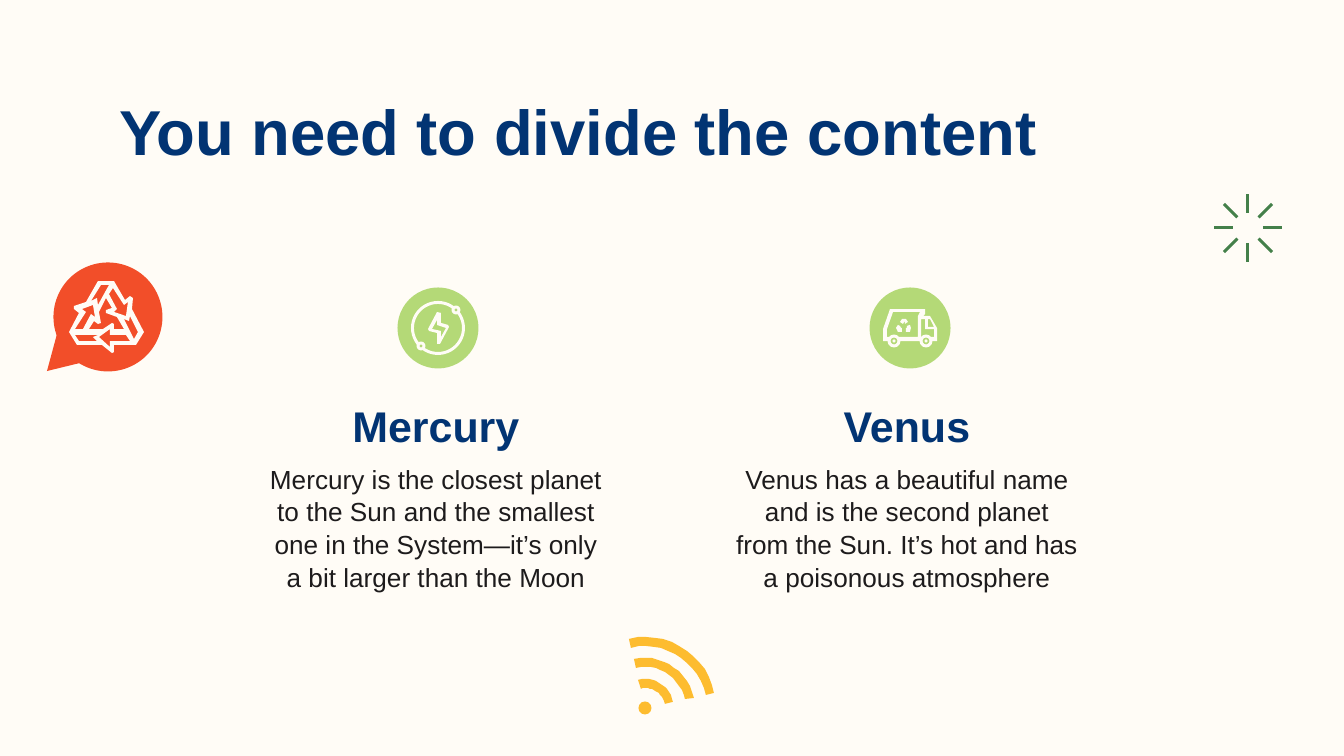
import math

import pptx
import pptx.dml.color
import pptx.enum.shapes
import pptx.enum.text
import pptx.oxml.ns
import pptx.util

RGB = pptx.dml.color.RGBColor
CREAM = RGB(0xFF, 0xFC, 0xF6)
NAVY = RGB(0x02, 0x34, 0x73)
INK = RGB(0x1D, 0x1B, 0x1C)
LIME = RGB(0xB4, 0xD9, 0x77)
AMBER = RGB(0xFD, 0xBC, 0x2F)
GREEN = RGB(0x44, 0x80, 0x4A)
ORANGE = RGB(0xF2, 0x4E, 0x29)

SCALE = 914400 / 134.4  # EMU per px
TOP = pptx.enum.text.MSO_ANCHOR.TOP
BOTTOM = pptx.enum.text.MSO_ANCHOR.BOTTOM
LEFT = pptx.enum.text.PP_ALIGN.LEFT
CENTER = pptx.enum.text.PP_ALIGN.CENTER


def emu(px):
    return pptx.util.Emu(round(px * SCALE))


class Painter:
    """Draws on one slide in px with a shared style."""

    font = "Arial"
    inset = 13

    def __init__(self, slide):
        self.slide = slide
        self.shapes = slide.shapes

    def placeholder(self, idx, box, text, size, color, bold=False,
                    align=CENTER, anchor=TOP, spacing=1.0):
        holder = self.slide.placeholders[idx]
        holder.left, holder.top, holder.width, holder.height = map(emu, box)
        frame = holder.text_frame
        frame.word_wrap = True
        frame.auto_size = pptx.enum.text.MSO_AUTO_SIZE.NONE
        frame.vertical_anchor = anchor
        frame.margin_left = frame.margin_right = emu(self.inset)
        frame.margin_top = frame.margin_bottom = emu(self.inset)
        paragraph = frame.paragraphs[0]
        paragraph.alignment = align
        paragraph.line_spacing = spacing
        paragraph.space_before = pptx.util.Pt(0)
        properties = paragraph._p.get_or_add_pPr()
        properties.set("marL", "0")
        properties.set("indent", "0")
        properties.append(pptx.oxml.parse_xml(
            "<a:buNone %s/>" % pptx.oxml.ns.nsdecls("a")))
        run = paragraph.add_run()
        run.text = text
        run.font.name = self.font
        run.font.size = pptx.util.Pt(size)
        run.font.bold = bold
        run.font.color.rgb = color

    def paint(self, shape, fill, line=None, weight=1.6):
        shape.shadow.inherit = False
        if fill is None:
            shape.fill.background()
        else:
            shape.fill.solid()
            shape.fill.fore_color.rgb = fill
        if line is None:
            shape.line.fill.background()
        else:
            shape.line.color.rgb = line
            shape.line.width = pptx.util.Pt(weight)

    def circle(self, x, y, diameter, fill, line=None):
        """Circle centred on x, y."""
        shape = self.shapes.add_shape(
            pptx.enum.shapes.MSO_SHAPE.OVAL, emu(x - diameter / 2),
            emu(y - diameter / 2), emu(diameter), emu(diameter))
        self.paint(shape, fill, line)

    def outline(self, fill, *contours):
        """Filled outline; contours after the first cut holes."""
        builder = self.shapes.build_freeform(*contours[0][0], scale=SCALE)
        builder.add_line_segments(contours[0][1:], close=True)
        for hole in contours[1:]:
            builder.move_to(*hole[0])
            builder.add_line_segments(hole[1:], close=True)
        self.paint(builder.convert_to_shape(), fill)

    def line(self, start, end, color, weight):
        connector = self.shapes.add_connector(
            pptx.enum.shapes.MSO_CONNECTOR.STRAIGHT,
            *map(emu, (*start, *end)))
        connector.line.color.rgb = color
        connector.line.width = pptx.util.Pt(weight)
        connector._element.spPr.append(pptx.oxml.parse_xml(
            "<a:effectLst %s/>" % pptx.oxml.ns.nsdecls("a")))


def polar(center, radius, degrees):
    """Point at an angle measured clockwise from straight up."""
    angle = math.radians(degrees)
    return (center[0] + radius * math.sin(angle),
            center[1] - radius * math.cos(angle))


def draw_energy(painter):
    painter.circle(438, 328, 81, LIME)
    painter.circle(438, 328, 51, None, CREAM)
    for knob in ((456, 310), (421, 346)):
        painter.circle(*knob, 6, LIME, CREAM)
    painter.outline(
        CREAM,
        [(437, 312), (428, 329), (429, 331), (437, 333), (437, 344),
         (440, 344), (449, 327), (448, 325), (441, 323), (441, 313)],
        [(437, 320), (437, 325), (446, 328), (441, 337), (441, 331),
         (432, 329)])


def draw_truck(painter):
    painter.circle(910, 328, 81, LIME)
    # Body with cargo, cab and window openings
    painter.outline(
        CREAM,
        [(890, 309), (883, 329), (883, 341), (937, 341), (937, 328),
         (930, 316), (923, 316), (925, 314), (925, 309)],
        [(893, 312), (920, 312), (918, 316), (918, 337), (887, 337),
         (887, 329)],
        [(921, 319), (925, 319), (925, 329), (934, 329), (934, 337),
         (921, 337)],
        [(928, 319), (930, 319), (934, 327), (928, 327)])
    for wheel_x in (894, 926):
        painter.circle(wheel_x, 341, 10, LIME, CREAM)
        painter.circle(wheel_x, 341, 3, CREAM)
    # Recycling arrows on the cargo
    for arrow in (
            [(902, 319), (900, 322), (903, 324), (905, 321), (905, 324),
             (908, 322), (906, 319)],
            [(910, 325), (907, 326), (907, 328), (906, 328), (906, 332),
             (910, 332), (911, 328)],
            [(898, 325), (896, 328), (898, 332), (902, 332), (902, 328),
             (901, 328), (900, 326)]):
        painter.outline(CREAM, arrow)


def draw_signal(painter):
    source = (645, 708)
    angles = range(-13, 79, 7)
    for inner, outer in ((62, 71), (41, 50), (20, 29)):
        painter.outline(
            AMBER,
            [polar(source, outer, angle) for angle in angles]
            + [polar(source, inner, angle) for angle in reversed(angles)])
    painter.circle(*source, 13, AMBER)


def draw_sunburst(painter):
    center = (1248, 228)
    for angle in range(0, 360, 45):
        painter.line(polar(center, 15, angle), polar(center, 34, angle),
                     GREEN, 1.58)


def draw_recycling_bubble(painter):
    painter.circle(108, 317, 109, ORANGE)
    painter.outline(ORANGE, [(57, 334), (47, 371), (80, 363), (108, 317)])
    painter.outline(
        CREAM,
        [(98, 281), (86, 302), (74, 306), (74, 309), (79, 313), (69, 332),
         (77, 345), (102, 345), (112, 353), (114, 352), (114, 345),
         (136, 345), (144, 332), (132, 309), (133, 298), (130, 296),
         (125, 300), (114, 281)],
        [(109, 285), (98, 305), (97, 298), (91, 301), (101, 285)],
        [(113, 288), (124, 305), (128, 302), (126, 316), (114, 312),
         (117, 309), (109, 294)],
        [(93, 305), (95, 317), (91, 314), (83, 329), (75, 329), (86, 312),
         (82, 309)],
        [(106, 298), (112, 308), (106, 310), (106, 313), (117, 317),
         (124, 329), (114, 329), (114, 324), (112, 323), (103, 329),
         (89, 329), (94, 321), (98, 324), (101, 323), (99, 312)],
        [(130, 316), (138, 332), (134, 339), (124, 319), (129, 321)],
        [(98, 335), (93, 337), (97, 341), (79, 341), (75, 335)],
        [(110, 329), (110, 335), (126, 335), (130, 341), (110, 341),
         (110, 347), (99, 337)])


def main():
    deck = pptx.Presentation()
    deck.slide_width, deck.slide_height = emu(1344), emu(756)
    slide = deck.slides.add_slide(deck.slide_layouts.get_by_name("Comparison"))
    slide.background.fill.solid()
    slide.background.fill.fore_color.rgb = CREAM
    painter = Painter(slide)

    # Title
    painter.placeholder(0, (106, 79, 1133, 82),
                        "You need to divide the content", 34, NAVY,
                        bold=True, align=LEFT)

    # Planet columns: heading above description
    planets = (
        ("Mercury", "Mercury is the closest planet to the Sun and the "
         "smallest one in the System—it’s only a bit larger than the Moon"),
        ("Venus", "Venus has a beautiful name and is the second planet "
         "from the Sun. It’s hot and has a poisonous atmosphere"))
    for column, (planet, description) in enumerate(planets):
        x = 252 + 471 * column
        painter.placeholder(1 + 2 * column, (x, 382, 368, 82), planet,
                            23, NAVY, bold=True, anchor=BOTTOM)
        painter.placeholder(2 + 2 * column, (x, 449, 368, 149), description,
                            14, INK, spacing=1.04)

    # Icons and decorations
    draw_energy(painter)
    draw_truck(painter)
    draw_signal(painter)
    draw_sunburst(painter)
    draw_recycling_bubble(painter)
    deck.save("out.pptx")


if __name__ == "__main__":
    main()
